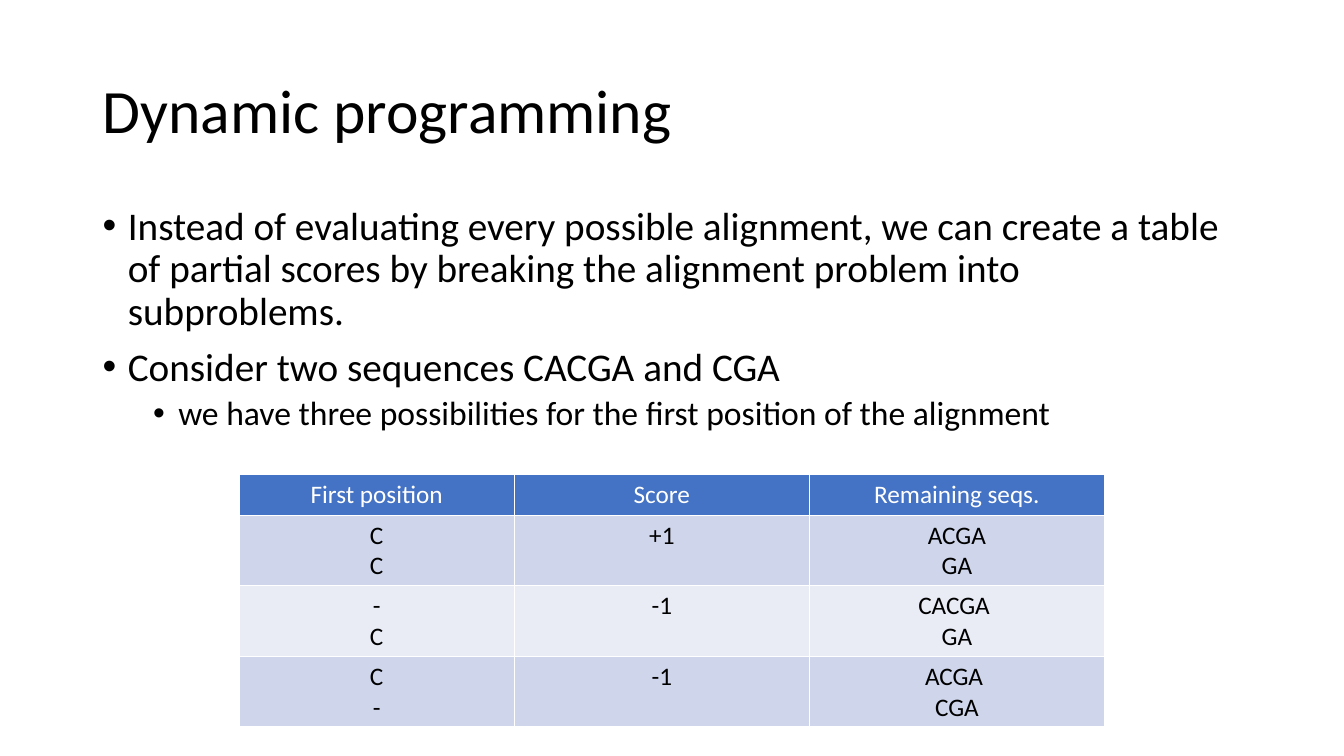
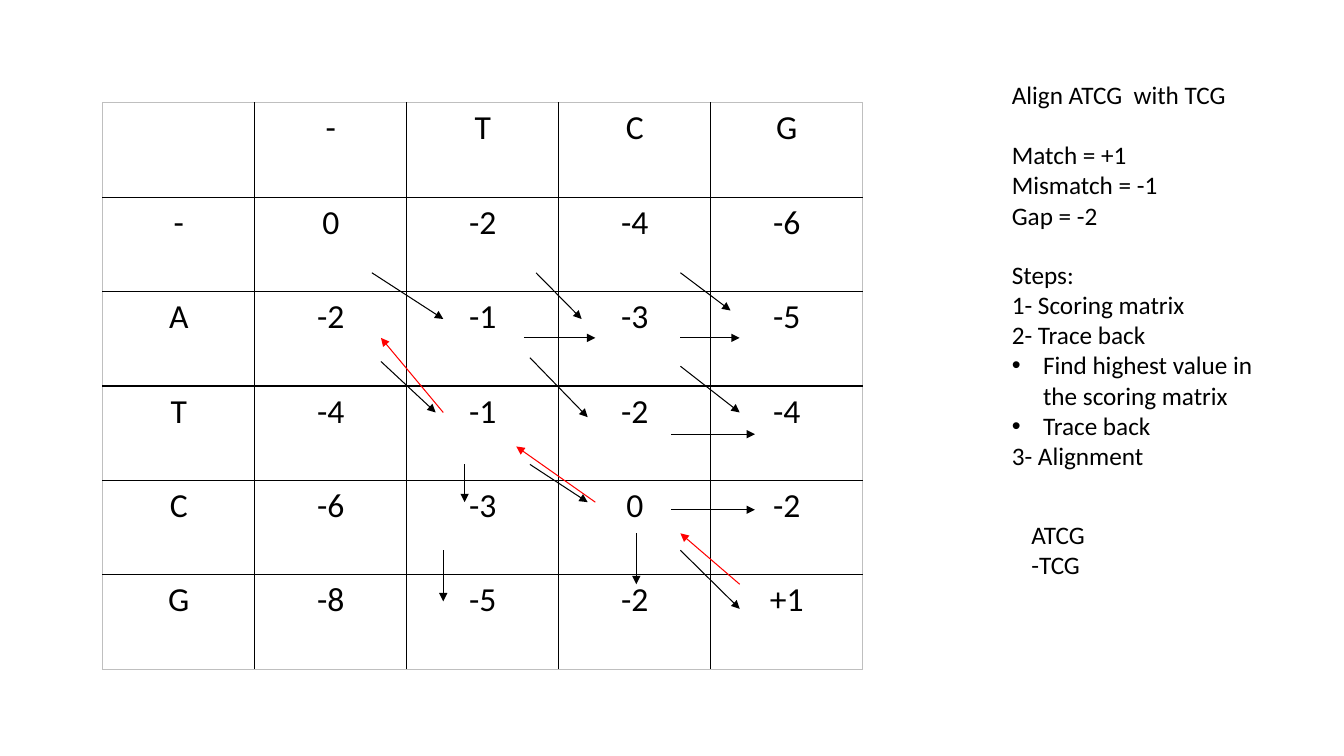
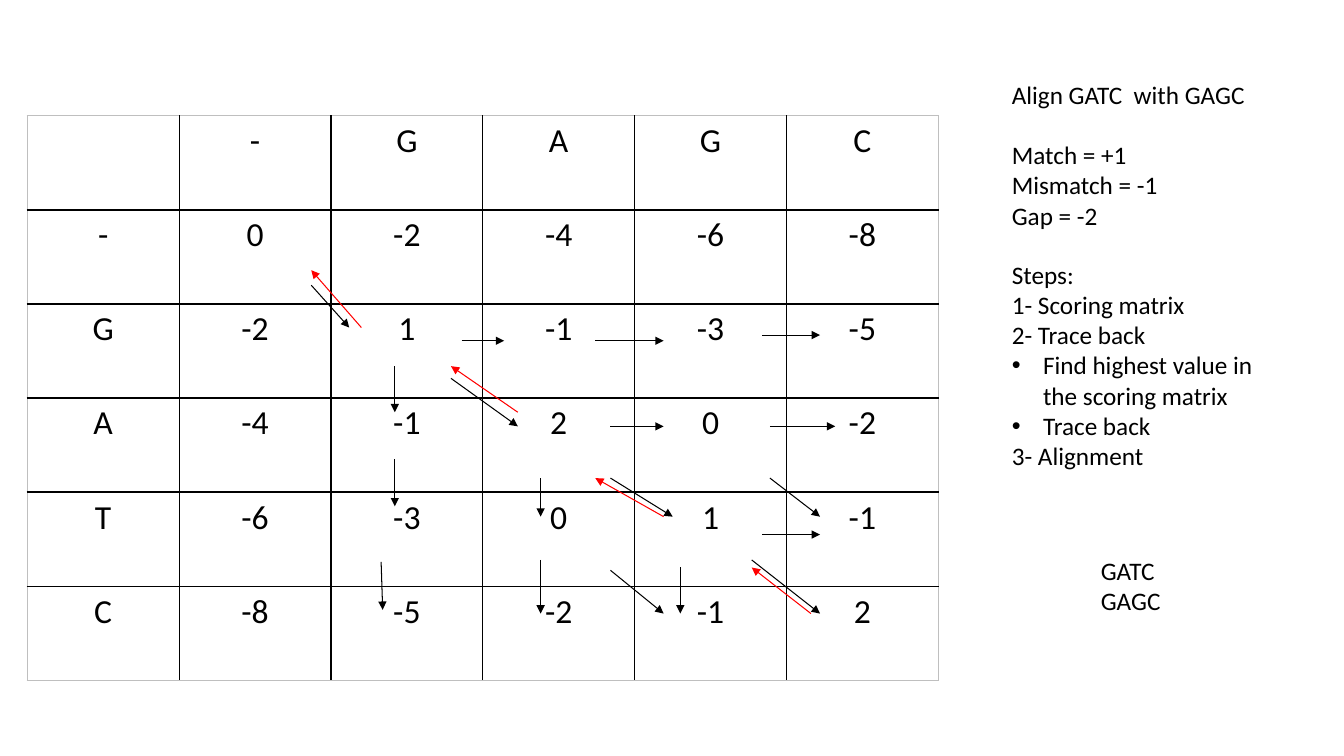
import lxml.etree
import pptx
import pptx.dml.color
import pptx.enum.shapes
import pptx.enum.text
import pptx.oxml.ns
import pptx.util

RGBColor = pptx.dml.color.RGBColor
BLACK = RGBColor(0x00, 0x00, 0x00)
WHITE = RGBColor(0xFF, 0xFF, 0xFF)
RED = RGBColor(0xFF, 0x00, 0x00)
FRAME_GRAY = RGBColor(0xBF, 0xBF, 0xBF)
HEADER_BLUE = RGBColor(0x44, 0x72, 0xC4)
BAND_DARK = RGBColor(0xCF, 0xD5, 0xEA)
BAND_LIGHT = RGBColor(0xE9, 0xEB, 0xF5)

FONT = "Calibri"
CENTER = pptx.enum.text.PP_ALIGN.CENTER
SLIDE_W, SLIDE_H = pptx.util.Inches(13.33), pptx.util.Inches(7.5)
BULLET = "•"

# Matrix arrows: start column, start row, end column, end row, in cells
ATCG_SCORING = [
    (1.77, 1.80, 2.24, 2.29), (2.85, 1.80, 3.15, 2.29), (2.77, 2.49, 3.24, 2.49),
    (3.80, 1.80, 4.13, 2.20), (3.80, 2.49, 4.19, 2.49), (1.83, 2.74, 2.19, 3.28),
    (2.81, 2.70, 3.19, 3.33), (3.80, 2.79, 4.19, 3.28), (3.74, 3.51, 4.29, 3.51),
    (2.38, 3.83, 2.38, 4.23), (2.81, 3.83, 3.19, 4.23), (3.74, 4.31, 4.29, 4.31),
    (2.24, 4.74, 2.24, 5.28), (3.51, 4.56, 3.51, 5.10), (3.80, 4.74, 4.19, 5.36),
]
ATCG_TRACE = [
    (4.19, 5.10, 3.80, 4.56), (3.24, 4.23, 2.72, 3.64), (2.24, 3.28, 1.83, 2.49),
]
GATC_SCORING = [
    (1.87, 1.80, 2.12, 2.25), (2.86, 2.39, 3.14, 2.39), (3.74, 2.39, 4.19, 2.39),
    (4.84, 2.33, 5.22, 2.33), (2.42, 2.66, 2.42, 3.15), (2.79, 2.79, 3.23, 3.30),
    (3.84, 3.30, 4.19, 3.30), (4.89, 3.30, 5.32, 3.30), (2.42, 3.65, 2.42, 4.15),
    (3.38, 3.85, 3.38, 4.26), (3.84, 3.85, 4.25, 4.26), (4.89, 3.85, 5.22, 4.26),
    (4.84, 4.45, 5.22, 4.45), (2.33, 4.74, 2.34, 5.25), (3.38, 4.72, 3.38, 5.29),
    (3.84, 4.83, 4.19, 5.29), (4.30, 4.80, 4.30, 5.29), (4.77, 4.72, 5.22, 5.29),
]
GATC_TRACE = [
    (5.16, 5.29, 4.77, 4.80), (4.19, 4.26, 3.74, 3.85),
    (3.23, 3.15, 2.79, 2.66), (2.20, 2.25, 1.87, 1.64),
]


def grid_box(left, top, width, height):
    """Box on a grid of 100 columns by 100 rows over the slide."""
    return (int(SLIDE_W * left / 100), int(SLIDE_H * top / 100),
            int(SLIDE_W * width / 100), int(SLIDE_H * height / 100))


def add_element(parent, tag, **attributes):
    return lxml.etree.SubElement(parent, pptx.oxml.ns.qn(tag), attributes)


def style(paragraph, size, color=BLACK):
    paragraph.font.name = FONT
    paragraph.font.size = pptx.util.Pt(size)
    paragraph.font.bold = False
    paragraph.font.color.rgb = color


def add_bullet(paragraph, indent, hang):
    properties = paragraph._p.get_or_add_pPr()
    properties.set("marL", str(pptx.util.Inches(indent)))
    properties.set("indent", str(-pptx.util.Inches(hang)))
    add_element(properties, "a:buFont", typeface="Arial")
    add_element(properties, "a:buChar", char=BULLET)


def add_lines(slide, box, lines, size=18, wrap=True):
    """Text box with one paragraph per line; returns its frame."""
    frame = slide.shapes.add_textbox(*box).text_frame
    frame.word_wrap = wrap
    for index, line in enumerate(lines):
        paragraph = frame.paragraphs[0] if index == 0 else frame.add_paragraph()
        paragraph.text = line
        style(paragraph, size)
    return frame


def add_title(slide, box, title):
    frame = add_lines(slide, box, [title], size=44)
    frame.vertical_anchor = pptx.enum.text.MSO_ANCHOR.MIDDLE
    frame.paragraphs[0].line_spacing = 0.9


def add_outline(slide, box, points):
    """Bulleted outline of (level, text) pairs."""
    frame = add_lines(slide, box, [text for _, text in points])
    for paragraph, (level, _) in zip(frame.paragraphs, points):
        style(paragraph, (28, 24)[level])
        paragraph.line_spacing = 0.9
        paragraph.space_before = pptx.util.Pt((10, 5)[level])
        add_bullet(paragraph, 0.25 + 0.5 * level, 0.25)


def set_borders(cell, colors):
    """One-point borders; colors run left, right, top, bottom."""
    properties = cell._tc.get_or_add_tcPr()
    for index, (side, color) in enumerate(zip("LRTB", colors)):
        border = add_element(properties, "a:ln" + side, w=str(pptx.util.Pt(1)))
        fill = add_element(border, "a:solidFill")
        add_element(fill, "a:srgbClr", val=str(color))
        properties.insert(index, border)


def add_grid(slide, box, rows, column_shares, row_shares, size):
    """Centred table whose columns and rows divide the box by shares."""
    table = slide.shapes.add_table(len(rows), len(rows[0]), *box).table
    table.first_row = table.horz_banding = False
    for column, share in zip(table.columns, column_shares):
        column.width = int(box[2] * share / sum(column_shares))
    for row, share, texts in zip(table.rows, row_shares, rows):
        row.height = int(box[3] * share / sum(row_shares))
        for cell, text in zip(row.cells, texts):
            cell.text = text
            for paragraph in cell.text_frame.paragraphs:
                paragraph.alignment = CENTER
                style(paragraph, size)
    return table


def add_options_table(slide, box, rows):
    table = add_grid(slide, box, rows, (14, 15, 15), (4, 7, 7, 7), 18)
    for index, row in enumerate(table.rows):
        for cell in row.cells:
            cell.fill.solid()
            cell.fill.fore_color.rgb = (
                HEADER_BLUE if index == 0 else BAND_DARK if index % 2 else BAND_LIGHT)
            set_borders(cell, [WHITE] * 4)
            if index == 0:
                style(cell.text_frame.paragraphs[0], 18, WHITE)


def add_arrow(slide, start, end, color):
    arrow = slide.shapes.add_connector(
        pptx.enum.shapes.MSO_CONNECTOR.STRAIGHT, *start, *end)
    arrow.line.color.rgb = color
    arrow.line.width = pptx.util.Pt(0.75)
    add_element(arrow.line._get_or_add_ln(), "a:tailEnd", type="triangle")
    add_element(arrow._element.spPr, "a:effectLst")


def add_matrix(slide, box, rows, scoring, trace):
    """Scoring matrix with black scoring arrows and red trace-back arrows."""
    row_count, column_count = len(rows), len(rows[0])
    table = add_grid(slide, box, rows, [1] * column_count, [1] * row_count, 24)
    for r in range(row_count):
        for c in range(column_count):
            cell = table.cell(r, c)
            cell.fill.background()
            outer = (c == 0, c == column_count - 1, r == 0, r == row_count - 1)
            set_borders(cell, [FRAME_GRAY if edge else BLACK for edge in outer])

    left, top, width, height = box

    def at(column, row):
        return (int(left + width * column / column_count),
                int(top + height * row / row_count))

    for arrows, color in ((scoring, BLACK), (trace, RED)):
        for c1, r1, c2, r2 in arrows:
            add_arrow(slide, at(c1, r1), at(c2, r2), color)


def add_method_panel(slide, box, task):
    """Task, scoring rules and steps, on a rhythm of 12 lines."""
    left, top, width, height = box

    def lines_box(first, count):
        return left, top + height * first // 12, width, height * count // 12

    add_lines(slide, lines_box(0, 1), [task], wrap=False)
    add_lines(slide, lines_box(2, 3),
              ["Match = +1", "Mismatch = -1", "Gap = -2"], wrap=False)
    steps = add_lines(slide, lines_box(6, 7), [
        "Steps:", "1- Scoring matrix", "2- Trace back",
        "Find highest value in\vthe scoring matrix", "Trace back", "3- Alignment"])
    for paragraph in steps.paragraphs[3:5]:
        add_bullet(paragraph, 0.31, 0.31)


def build_intro(slide):
    add_title(slide, grid_box(6.9, 5.33, 86.25, 19.33), "Dynamic programming")
    add_outline(slide, grid_box(6.9, 26.67, 86.25, 63.4), [
        (0, "Instead of evaluating every possible alignment, we can create a table "
            "of partial scores by breaking the alignment problem into subproblems."),
        (0, "Consider two sequences CACGA and CGA"),
        (1, "we have three possibilities for the first position of the alignment"),
    ])
    add_options_table(slide, grid_box(17.78, 62.8, 64.4, 33.33), [
        ("First position", "Score", "Remaining seqs."),
        ("C\nC", "+1", "ACGA\nGA"),
        ("-\nC", "-1", "CACGA \nGA"),
        ("C\n-", "-1", "ACGA \nCGA"),
    ])


def build_alignment(slide, task, matrix_box, rows, scoring, trace, result_box, result):
    add_matrix(slide, matrix_box, rows, scoring, trace)
    add_method_panel(slide, grid_box(74.55, 9.87, 22.73, 47.47), task)
    add_lines(slide, result_box, result)


def main():
    deck = pptx.Presentation()
    deck.slide_width, deck.slide_height = SLIDE_W, SLIDE_H
    blank = deck.slide_layouts[6]

    build_intro(deck.slides.add_slide(blank))
    build_alignment(
        deck.slides.add_slide(blank), "Align ATCG  with TCG",
        grid_box(7.65, 13.6, 56.55, 74.93),
        [("", "-", "T", "C", "G"),
         ("-", "0", "-2", "-4", "-6"),
         ("A", "-2", "-1", "-3", "-5"),
         ("T", "-4", "-1", "-2", "-4"),
         ("C", "-6", "-3", "0", "-2"),
         ("G", "-8", "-5", "-2", "+1")],
        ATCG_SCORING, ATCG_TRACE,
        grid_box(76, 68, 9.6, 9.47), ["ATCG", "-TCG"])
    build_alignment(
        deck.slides.add_slide(blank), "Align GATC  with GAGC",
        grid_box(2.03, 15.33, 67.8, 74.67),
        [("", "-", "G", "A", "G", "C"),
         ("-", "0", "-2", "-4", "-6", "-8"),
         ("G", "-2", "1", "-1", "-3", "-5"),
         ("A", "-4", "-1", "2", "0", "-2"),
         ("T", "-6", "-3", "0", "1", "-1"),
         ("C", "-8", "-5", "-2", "-1", "2")],
        GATC_SCORING, GATC_TRACE,
        grid_box(81.17, 72.8, 9.6, 9.47), ["GATC", "GAGC"])

    deck.save("out.pptx")


if __name__ == "__main__":
    main()
